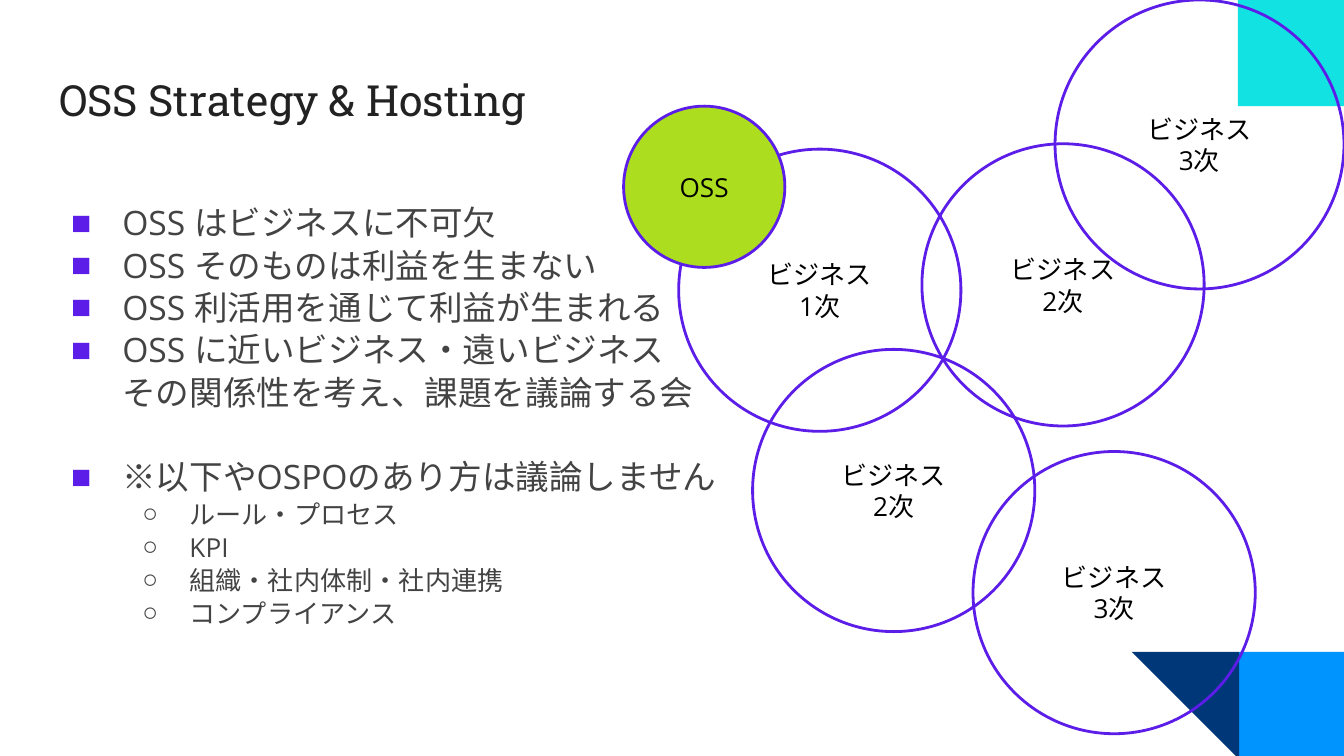
from dataclasses import dataclass

from lxml import etree
from pptx import Presentation
from pptx.dml.color import RGBColor
from pptx.enum.shapes import MSO_SHAPE
from pptx.enum.text import MSO_ANCHOR, MSO_AUTO_SIZE, PP_ALIGN
from pptx.oxml.ns import qn
from pptx.util import Inches, Pt

RECTANGLE, TRIANGLE, OVAL = MSO_SHAPE.RECTANGLE, MSO_SHAPE.RIGHT_TRIANGLE, MSO_SHAPE.OVAL
LEFT, CENTER = PP_ALIGN.LEFT, PP_ALIGN.CENTER
TOP, MIDDLE = MSO_ANCHOR.TOP, MSO_ANCHOR.MIDDLE
NO_AUTOFIT = MSO_AUTO_SIZE.NONE

COLORS = {
    "title": "222222", "body": "434343", "label": "000000", "purple": "5B1DE7",
    "green": "ACDE1F", "blue": "0094FF", "navy": "003778", "cyan": "12E2E2",
}
BODY_FONT, TITLE_FONT, BULLET_FONT = "Open Sans", "Roboto Slab", "Arial"


@dataclass
class Corner:
    kind: int
    left: float
    top: float
    size: float
    color: str
    rotation: float = 0


@dataclass
class Circle:
    label: str
    left: float
    top: float
    size: float = 2.1
    fill: str | None = None


@dataclass
class Level:
    size: float
    margin: float
    hanging: float
    mark: str
    mark_color: str


@dataclass
class Item:
    text: str
    level: int = 0
    space_before: float = 0


CORNERS = [
    Corner(RECTANGLE, 9.22, 4.85, 0.79, "blue"),
    Corner(TRIANGLE, 8.42, 4.85, 0.8, "navy", rotation=180),
    Corner(RECTANGLE, 9.21, 0, 0.79, "cyan"),
]
CIRCLES = [
    Circle("ビジネス\n2次", 5.6, 2.6),
    Circle("ビジネス\v1次", 5.05, 1.11),
    Circle("ビジネス\n3次", 7.24, 3.36),
    Circle("ビジネス\n2次", 6.86, 1.07),
    Circle("ビジネス\n3次", 7.85, 0, size=2.15),
    Circle("OSS", 4.64, 0.79, size=1.2, fill="green"),
]
LEVELS = [
    Level(18, 0.5, 0.38, "■", "purple"),
    Level(14, 1, 0.35, "○", "body"),
]
ITEMS = [
    Item("OSS はビジネスに不可欠"),
    Item("OSS そのものは利益を生まない"),
    Item("OSS 利活用を通じて利益が生まれる"),
    Item("OSS に近いビジネス・遠いビジネス\vその関係性を考え、課題を議論する会"),
    Item("※以下やOSPOのあり方は議論しません", space_before=22.7),
    Item("ルール・プロセス", level=1),
    Item("KPI", level=1),
    Item("組織・社内体制・社内連携", level=1),
    Item("コンプライアンス", level=1),
]


def rgb(name: str) -> RGBColor:
    return RGBColor.from_string(COLORS[name])


def write(para, text: str, *, size: float, color: str, font: str = BODY_FONT,
          align=LEFT, line_spacing: float = 1, space_before: float = 0) -> None:
    """Fill a paragraph; a vertical tab in the text is a line break."""
    para.alignment = align
    para.line_spacing = line_spacing
    para.space_before = Pt(space_before)
    for index, line in enumerate(text.split("\v")):
        if index:
            para.add_line_break()
        span = para.add_run()
        span.text = line
        span.font.size = Pt(size)
        span.font.name = font
        span.font.color.rgb = rgb(color)
        east_asian = etree.SubElement(span.font._element, qn("a:ea"))
        east_asian.set("typeface", font)


def add_bullet(para, level: Level) -> None:
    properties = para._p.get_or_add_pPr()
    properties.set("marL", str(Inches(level.margin)))
    properties.set("indent", str(-Inches(level.hanging)))
    color = etree.SubElement(properties, qn("a:buClr"))
    etree.SubElement(color, qn("a:srgbClr")).set("val", COLORS[level.mark_color])
    etree.SubElement(properties, qn("a:buFont")).set("typeface", BULLET_FONT)
    etree.SubElement(properties, qn("a:buChar")).set("char", level.mark)


def prepare_frame(box, anchor):
    frame = box.text_frame
    frame.word_wrap = True
    frame.auto_size = NO_AUTOFIT
    frame.vertical_anchor = anchor
    frame.margin_left = frame.margin_right = Inches(0.1)
    frame.margin_top = frame.margin_bottom = Inches(0.1)
    return frame


def place(box, left: float, top: float, width: float, height: float) -> None:
    box.left, box.top = Inches(left), Inches(top)
    box.width, box.height = Inches(width), Inches(height)


def add_square_shape(page, kind, left: float, top: float, size: float, fill: str | None):
    shape = page.shapes.add_shape(kind, Inches(left), Inches(top), Inches(size), Inches(size))
    shape.shadow.inherit = False
    if fill:
        shape.fill.solid()
        shape.fill.fore_color.rgb = rgb(fill)
    else:
        shape.fill.background()
    return shape


def draw_corner(page, corner: Corner) -> None:
    shape = add_square_shape(page, corner.kind, corner.left, corner.top, corner.size, corner.color)
    shape.line.fill.background()
    shape.rotation = corner.rotation


def draw_circle(page, circle: Circle) -> None:
    shape = add_square_shape(page, OVAL, circle.left, circle.top, circle.size, circle.fill)
    shape.line.color.rgb = rgb("purple")
    shape.line.width = Pt(1.5)
    frame = prepare_frame(shape, MIDDLE)
    for index, line in enumerate(circle.label.split("\n")):
        para = frame.add_paragraph() if index else frame.paragraphs[0]
        write(para, line, size=14, color="label", align=CENTER)


def draw_list(body, items: list[Item]) -> None:
    frame = prepare_frame(body, TOP)
    for index, item in enumerate(items):
        para = frame.add_paragraph() if index else frame.paragraphs[0]
        level = LEVELS[item.level]
        para.level = item.level
        add_bullet(para, level)
        write(para, item.text, size=level.size, color="body",
              line_spacing=1.05, space_before=item.space_before)


def main() -> None:
    deck = Presentation()
    deck.slide_width = Inches(10)
    deck.slide_height = deck.slide_width * 9 // 16
    page = deck.slides.add_slide(deck.slide_layouts[1])

    # Title and bullet list
    title, body = page.placeholders
    place(title, 0.34, 0.45, 9.32, 0.66)
    write(prepare_frame(title, TOP).paragraphs[0], "OSS Strategy & Hosting",
          size=23, color="title", font=TITLE_FONT)
    place(body, 0.31, 1.39, 9.32, 3.65)
    draw_list(body, ITEMS)

    # Corner decoration, then the circles over it
    for corner in CORNERS:
        draw_corner(page, corner)
    for circle in CIRCLES:
        draw_circle(page, circle)

    deck.save("out.pptx")


if __name__ == "__main__":
    main()
